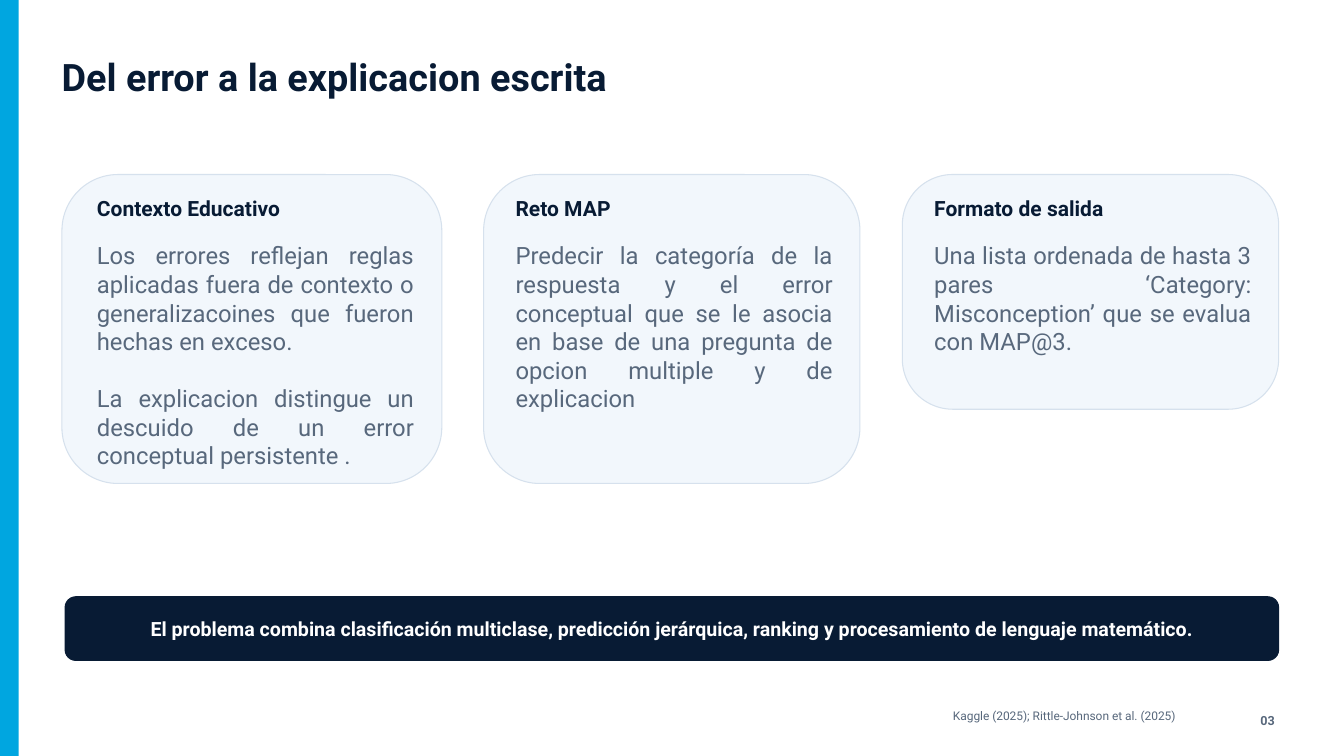
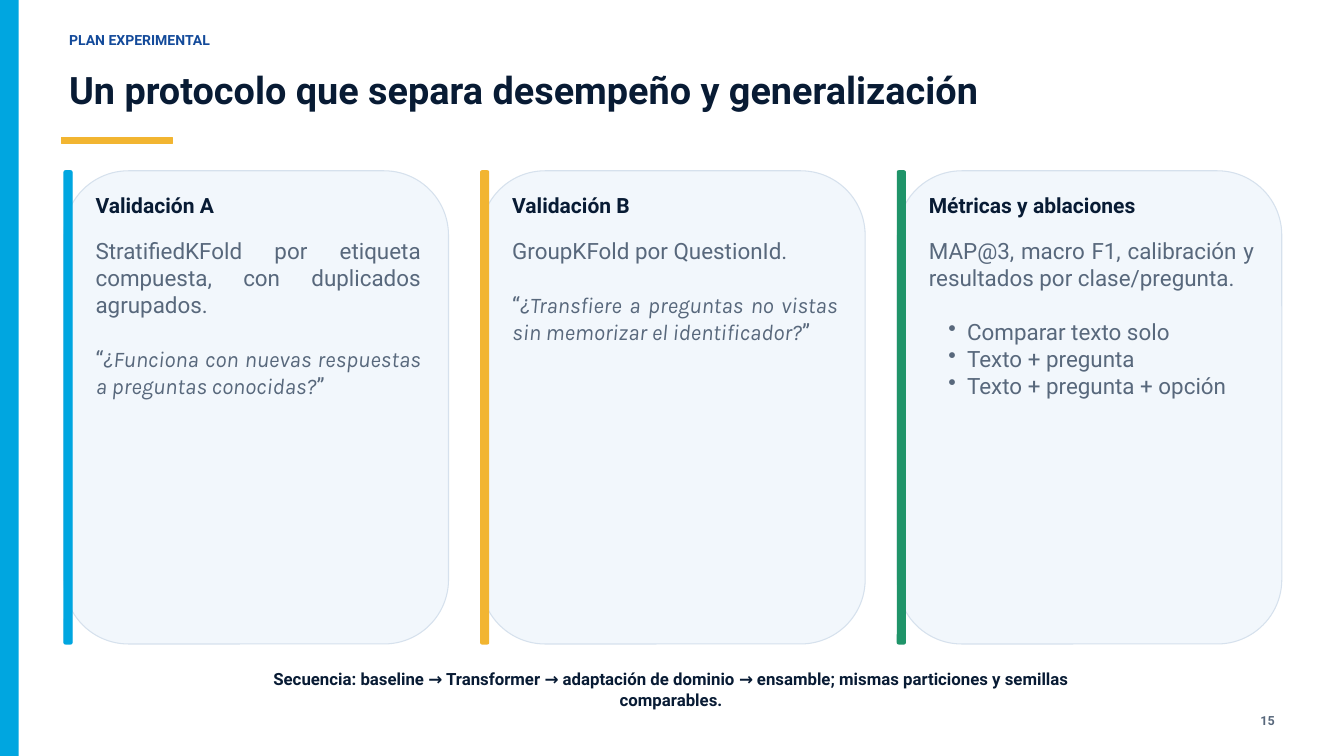
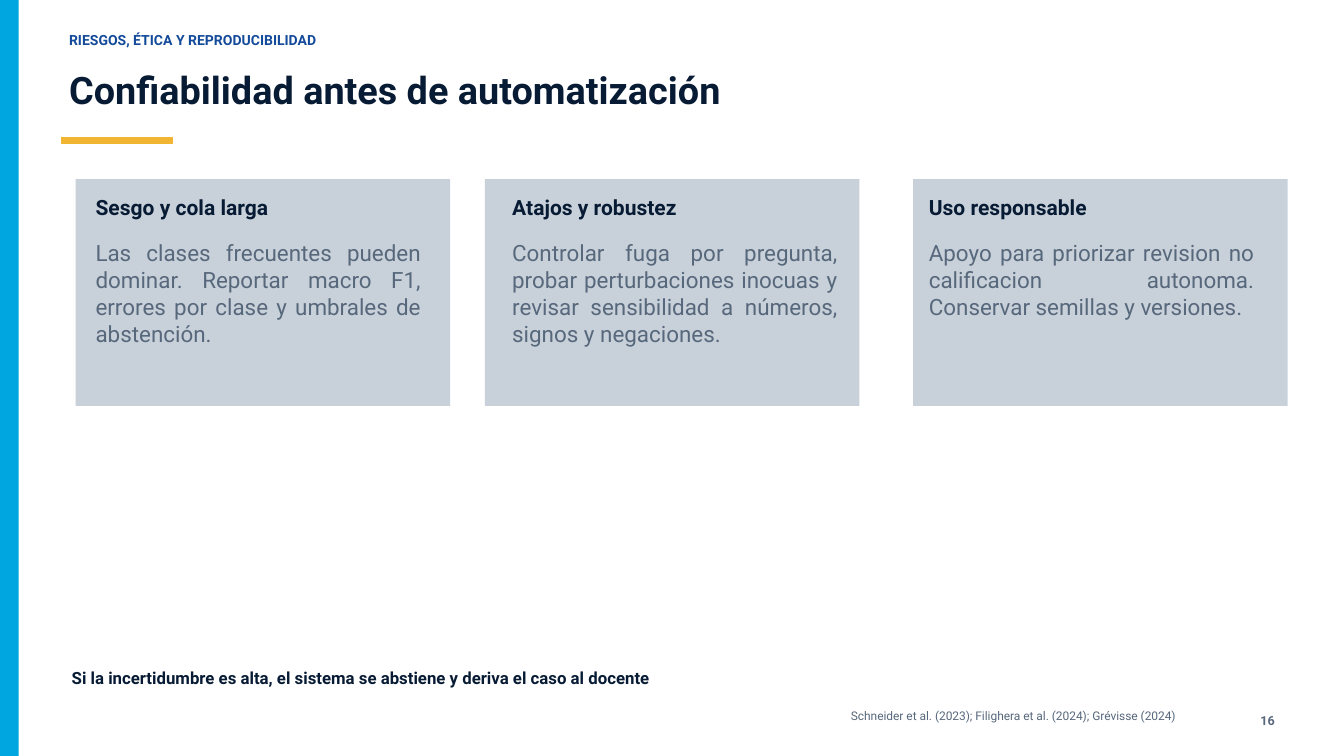
from dataclasses import dataclass

from lxml.etree import SubElement
from pptx import Presentation
from pptx.dml.color import RGBColor
from pptx.enum.shapes import MSO_SHAPE as Preset
from pptx.enum.text import MSO_ANCHOR as Anchor, MSO_AUTO_SIZE as Fit, PP_ALIGN as Align
from pptx.oxml.ns import qn
from pptx.util import Pt


@dataclass(frozen=True)
class Theme:
    font: str = "Roboto"
    quote_font: str = "Karla"
    navy: str = "081B34"
    grey: str = "58687C"
    blue: str = "134A9A"
    cyan: str = "00A6E0"
    gold: str = "F2B531"
    green: str = "1F9469"
    white: str = "FFFFFF"
    card: str = "F2F7FC"
    card_line: str = "D6E1ED"
    panel: str = "C8D1D9"
    title: float = 40.5
    heading: float = 22.5
    banner: float = 21
    closing: float = 18
    kicker: float = 15
    number: float = 13.5
    source: float = 12.75
    leading: float = 1.2
    border: float = 1.13


theme = Theme()


def draw(page, at, fill, line=None, radius=None):
    """Add a filled rectangle, rounded if a radius is given."""
    preset = Preset.ROUNDED_RECTANGLE if radius else Preset.RECTANGLE
    box = page.shapes.add_shape(preset, *map(Pt, at))
    box.shadow.inherit = False
    box.fill.solid()
    box.fill.fore_color.rgb = RGBColor.from_string(fill)
    if radius:
        box.adjustments[0] = radius / min(at[2:])
    if line:
        box.line.color.rgb = RGBColor.from_string(line)
        box.line.width = Pt(theme.border)
    else:
        box.line.fill.background()
    return box


def write(box, at, paragraphs, size, colour, bold=True, align=Align.LEFT, anchor=Anchor.TOP):
    """Place a box and fill it with (kind, text) paragraphs."""
    for name, value in zip(("left", "top", "width", "height"), at):
        setattr(box, name, Pt(value))
    frame = box.text_frame
    frame_format = dict(margin_left=0, margin_top=0, margin_right=0, margin_bottom=0,
                        word_wrap=True, auto_size=Fit.NONE, vertical_anchor=anchor)
    for name, value in frame_format.items():
        setattr(frame, name, value)
    leading = Pt(size * theme.leading)
    previous = None
    for kind, text in paragraphs:
        para = frame.add_paragraph() if previous else frame.paragraphs[0]
        if kind == "bullet":
            para.level = 1
            properties = para._p.get_or_add_pPr()
            properties.set("marL", str(Pt(41)))
            properties.set("indent", str(Pt(-20)))
            SubElement(properties, qn("a:buChar")).set("char", "•")
        para.alignment = Align.LEFT if kind == "bullet" else align
        para.line_spacing = leading
        if previous and (previous, kind) != ("bullet", "bullet"):
            para.space_before = leading
        pieces = ["“", text, "”"] if kind == "quote" else [text]
        for piece in pieces:
            quoted = kind == "quote" and piece == text
            span = para.add_run()
            span.text = piece
            span_format = dict(name=theme.quote_font if quoted else theme.font,
                               size=Pt(size), bold=bold, italic=quoted)
            for name, value in span_format.items():
                setattr(span.font, name, value)
            span.font.color.rgb = RGBColor.from_string(colour)
        previous = kind


# Content: each column is a heading and its paragraphs
slides = [
    dict(
        title="Del error a la explicacion escrita", title_at=(66, 57.6), number="03",
        source="Kaggle (2025); Rittle-Johnson et al. (2025)",
        cards=[(66.4, 187, 407, 331), (518.2, 187, 403.2, 331), (966.8, 187, 403.2, 251.5)],
        radii=[60, 60, 54], fill=theme.card, line=theme.card_line, bars=[],
        text_left=103.8, step=448.6, text_width=340, heading_top=210, body=25.5,
        columns=[
            ("Contexto Educativo", [
                ("plain", "Los errores reflejan reglas aplicadas fuera de contexto o "
                          "generalizacoines que fueron hechas en exceso."),
                ("plain", "La explicacion distingue un descuido de un error conceptual "
                          "persistente ."),
            ]),
            ("Reto MAP", [
                ("plain", "Predecir la categoría de la respuesta y el error conceptual que se "
                          "le asocia en base de una pregunta de opcion multiple y de explicacion"),
            ]),
            ("Formato de salida", [
                ("plain", "Una lista ordenada de hasta 3 pares ‘Category: Misconception’ "
                          "que se evalua con MAP@3."),
            ]),
        ],
        banner="El problema combina clasificación multiclase, predicción jerárquica, ranking "
               "y procesamiento de lenguaje matemático.",
    ),
    dict(
        kicker="PLAN EXPERIMENTAL", number="15", title_at=(74, 71.3),
        title="Un protocolo que separa desempeño y generalización",
        cards=[(68.6 + 446.4 * column, 183, 412, 507) for column in range(3)],
        radii=[69] * 3, fill=theme.card, line=theme.card_line,
        bars=[theme.cyan, theme.gold, theme.green],
        text_left=102.4, step=446.4, text_width=348.5, heading_top=206, body=24,
        columns=[
            ("Validación A", [
                ("plain", "StratifiedKFold por etiqueta compuesta, con duplicados agrupados."),
                ("quote", "¿Funciona con nuevas respuestas a preguntas conocidas?"),
            ]),
            ("Validación B", [
                ("plain", "GroupKFold por QuestionId."),
                ("quote", "¿Transfiere a preguntas no vistas sin memorizar el identificador?"),
            ]),
            ("Métricas y ablaciones", [
                ("plain", "MAP@3, macro F1, calibración y resultados por clase/pregunta."),
                ("bullet", "Comparar texto solo"),
                ("bullet", "Texto + pregunta"),
                ("bullet", "Texto + pregunta + opción"),
            ]),
        ],
        closing="Secuencia: baseline → Transformer → adaptación de dominio → ensamble; "
                "mismas particiones y semillas comparables.",
        closing_at=(236.2, 717, 965.5, 43.2),
    ),
    dict(
        kicker="RIESGOS, ÉTICA Y REPRODUCIBILIDAD", number="16", title_at=(74, 71.3),
        title="Confiabilidad antes de automatización",
        source="Schneider et al. (2023); Filighera et al. (2024); Grévisse (2024)",
        cards=[(left, 192, 401.3, 243) for left in (81, 519.4, 978.3)],
        radii=[None] * 3, fill=theme.panel, line=None, bars=[],
        text_left=102.4, step=446.4, text_width=348.5, heading_top=208, body=24,
        columns=[
            ("Sesgo y cola larga", [
                ("plain", "Las clases frecuentes pueden dominar. Reportar macro F1, errores "
                          "por clase y umbrales de abstención."),
            ]),
            ("Atajos y robustez", [
                ("plain", "Controlar fuga por pregunta, probar perturbaciones inocuas y "
                          "revisar sensibilidad a números, signos y negaciones."),
            ]),
            ("Uso responsable", [
                ("plain", "Apoyo para priorizar revision no calificacion autonoma. "
                          "Conservar semillas y versiones."),
            ]),
        ],
        closing="Si la incertidumbre es alta, el sistema se abstiene y deriva el caso al docente",
        closing_at=(74, 715.6, 625, 21.6),
    ),
]

deck = Presentation()
deck.slide_width, deck.slide_height = Pt(1440), Pt(810)
title_only = deck.slide_layouts[5]

for content in slides:
    page = deck.slides.add_slide(title_only)

    # Side band, title and page number
    draw(page, (0, 0, 20, 810), theme.cyan)
    write(page.shapes.title, (*content["title_at"], 1271.5, 48.6),
          [("plain", content["title"])], theme.title, theme.navy)
    write(page.shapes.add_textbox(0, 0, 0, 0), (1320.5, 764, 45.4, 16.5),
          [("plain", content["number"])], theme.number, theme.grey, align=Align.RIGHT)

    # Kicker above the title and accent rule below it
    if "kicker" in content:
        write(page.shapes.add_textbox(0, 0, 0, 0), (74, 33.8, 904, 23),
              [("plain", content["kicker"])], theme.kicker, theme.blue)
        draw(page, (66, 147.5, 118.5, 6.5), theme.gold, theme.gold)

    # Cards with their coloured edges
    for card, radius in zip(content["cards"], content["radii"]):
        draw(page, card, content["fill"], content["line"], radius)
    for (left, top, width, height), colour in zip(content["cards"], content["bars"]):
        draw(page, (left, top, 8.6, height), colour, colour, radius=1.5)

    # Column headings and bodies
    for column, (heading, body) in enumerate(content["columns"]):
        left = content["text_left"] + content["step"] * column
        top, width = content["heading_top"], content["text_width"]
        write(page.shapes.add_textbox(0, 0, 0, 0), (left, top, width, 30),
              [("plain", heading)], theme.heading, theme.navy)
        write(page.shapes.add_textbox(0, 0, 0, 0), (left, top + 48.3, width, 240), body,
              content["body"], theme.grey, bold=False, align=Align.JUSTIFY)

    # Conclusion, as a banner or as plain text
    if "banner" in content:
        banner_at = (69.8, 639.4, 1300.2, 68.2)
        write(draw(page, banner_at, theme.navy, theme.navy, radius=11.5), banner_at,
              [("plain", content["banner"])], theme.banner, theme.white,
              align=Align.CENTER, anchor=Anchor.MIDDLE)
    if "closing" in content:
        write(page.shapes.add_textbox(0, 0, 0, 0), content["closing_at"],
              [("plain", content["closing"])], theme.closing, theme.navy, align=Align.CENTER)

    # Sources
    if "source" in content:
        write(page.shapes.add_textbox(0, 0, 0, 0), (596, 759.6, 663.3, 23.8),
              [("plain", content["source"])], theme.source, theme.grey,
              bold=False, align=Align.RIGHT)

deck.save("out.pptx")
